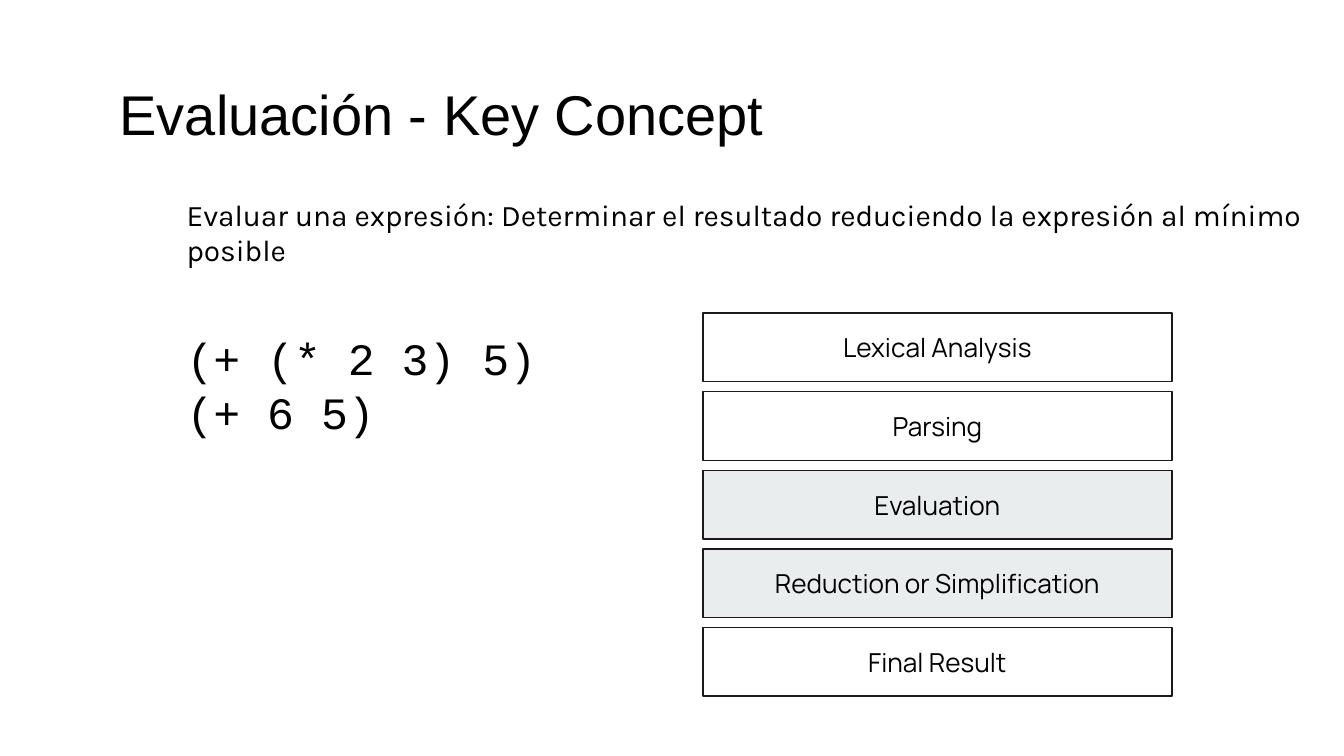
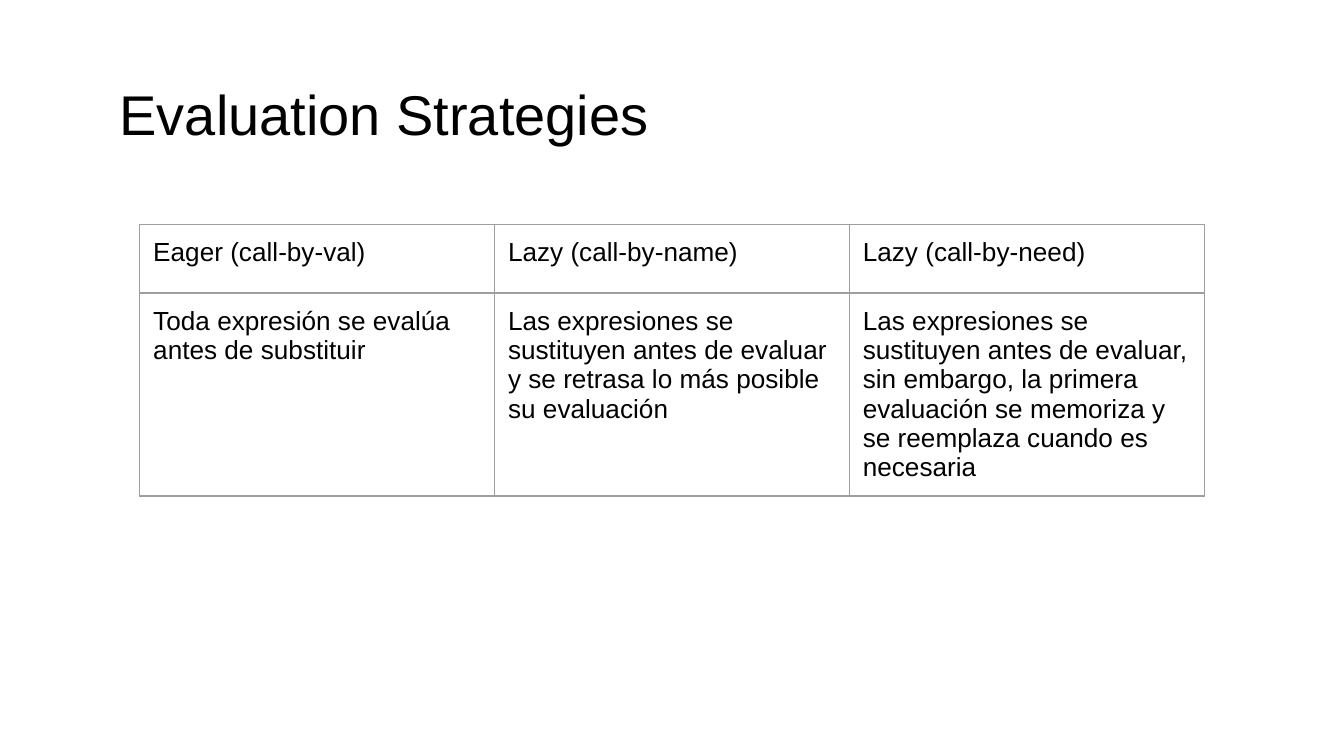
import pptx
import pptx.util
import pptx.dml.color
import pptx.enum.shapes
import pptx.enum.text
import pptx.oxml
import pptx.oxml.ns

Inches, Pt = pptx.util.Inches, pptx.util.Pt
ANCHOR = pptx.enum.text.MSO_ANCHOR
ALIGN = pptx.enum.text.PP_ALIGN
INK, WHITE, TINT, EDGE, RULE = "000000", "FFFFFF", "E9EDEE", "1A1A1A", "9E9E9E"


def color(code):
    return pptx.dml.color.RGBColor.from_string(code)


def write(frame, lines, font, size, align=ALIGN.LEFT, indent=0):
    """Fill a text frame with one paragraph per line, all in one style."""
    frame.margin_left = frame.margin_right = Inches(0.1)
    frame.margin_top = frame.margin_bottom = Inches(0.1)
    frame.word_wrap = True
    frame.text = "\n".join(lines)
    for par in frame.paragraphs:
        par.alignment = align
        par.space_before = Pt(0)
        par.font.name = font
        par.font.size = Pt(size)
        par.font.color.rgb = color(INK)
        if indent:
            props = par._p.get_or_add_pPr()
            props.set("marL", str(Inches(indent)))
            props.set("indent", "0")


deck = pptx.Presentation()
deck.slide_width, deck.slide_height = Inches(10), Inches(10 * 9 / 16)

# Both slides share the title style
slides = []
for text in ["Evaluación - Key Concept", "Evaluation Strategies"]:
    slide = deck.slides.add_slide(deck.slide_layouts[5])
    slide.background.fill.solid()
    slide.background.fill.fore_color.rgb = color(WHITE)
    title = slide.shapes.title
    title.left, title.top = Inches(0.79), Inches(0.49)
    title.width, title.height = Inches(8.43), Inches(0.63)
    write(title.text_frame, [text], "Arial", 30)
    title.text_frame.vertical_anchor = ANCHOR.TOP
    title.text_frame.auto_size = pptx.enum.text.MSO_AUTO_SIZE.NONE
    slides.append(slide)
concept, plans = slides

# Slide 1: definition, sample code and the stack of steps
notes = [
    (1.36, 9.1, 1.42, "Karla", 16,
     ["Evaluar una expresión: Determinar el resultado reduciendo la expresión al mínimo posible"]),
    (2.36, 4.03, 2.78, "Courier New", 24, ["(+ (* 2 3) 5)", "(+ 6 5)"]),
]
for top, width, height, font, size, lines in notes:
    box = concept.shapes.add_textbox(Inches(0.79), Inches(top), Inches(width), Inches(height))
    write(box.text_frame, lines, font, size, indent=0.5)

steps = [
    ("Lexical Analysis", WHITE),
    ("Parsing", WHITE),
    ("Evaluation", TINT),
    ("Reduction or Simplification", TINT),
    ("Final Result", WHITE),
]
first, last = 2.33, 4.67
pitch = (last - first) / (len(steps) - 1)
stack = concept.shapes.add_group_shape()
for row, (name, fill) in enumerate(steps):
    step = stack.shapes.add_shape(
        pptx.enum.shapes.MSO_SHAPE.RECTANGLE,
        Inches(5.23), Inches(first + row * pitch), Inches(3.49), Inches(0.51))
    step.shadow.inherit = False
    step.fill.solid()
    step.fill.fore_color.rgb = color(fill)
    step.line.color.rgb = color(EDGE)
    step.line.width = Pt(0.75)
    write(step.text_frame, [name], "Manrope", 14, ALIGN.CENTER)
    step.text_frame.vertical_anchor = ANCHOR.MIDDLE

# Slide 2: table of strategies
cells = [
    ["Eager (call-by-val)", "Lazy (call-by-name)", "Lazy (call-by-need)"],
    ["Toda expresión se evalúa antes de substituir",
     "Las expresiones se sustituyen antes de evaluar y se retrasa lo más posible su evaluación",
     "Las expresiones se sustituyen antes de evaluar, sin embargo, la primera evaluación "
     "se memoriza y se reemplaza cuando es necesaria"],
]
heights = [0.51, 1.33]
table = plans.shapes.add_table(
    2, 3, Inches(1.04), Inches(1.67), Inches(3 * 2.64), Inches(sum(heights))).table
table.first_row = table.horz_banding = False
for col in table.columns:
    col.width = Inches(2.64)
for row, height, texts in zip(table.rows, heights, cells):
    row.height = Inches(height)
    for cell, text in zip(row.cells, texts):
        write(cell.text_frame, [text], "Arial", 14)
        cell.margin_left = cell.margin_right = Inches(0.1)
        cell.margin_top = cell.margin_bottom = Inches(0.1)
        props = cell._tc.get_or_add_tcPr()
        for side in ["lnL", "lnR", "lnT", "lnB"]:
            props.append(pptx.oxml.parse_xml(
                f'<a:{side} {pptx.oxml.ns.nsdecls("a")} w="{Pt(0.75)}"><a:solidFill>'
                f'<a:srgbClr val="{RULE}"/></a:solidFill></a:{side}>'))
        cell.fill.background()

deck.save("out.pptx")
